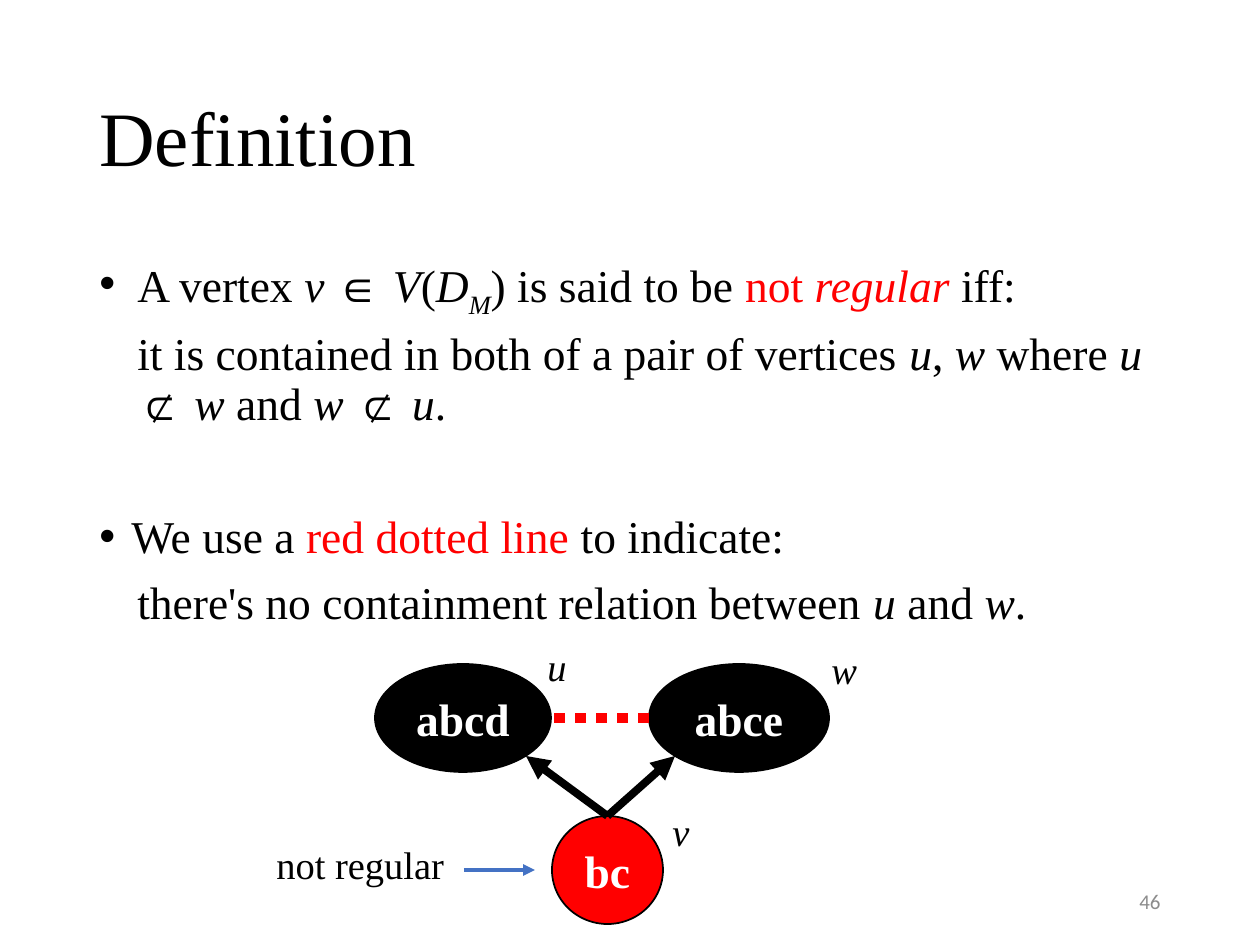
import pptx
import pptx.util
import pptx.dml.color
import pptx.enum.dml
import pptx.enum.shapes
import pptx.enum.text
import pptx.oxml
import pptx.oxml.ns

PX = 914400 / 126
SERIF = "Times New Roman"
COLORS = {"black": "000000", "white": "FFFFFF", "red": "FF0000",
          "blue": "4472C4", "gray": "8C8C8C"}
ALIGN = pptx.enum.text.PP_ALIGN
ANCHOR = pptx.enum.text.MSO_ANCHOR

# Run styles: i = italic, r = red, s = subscript
# Each paragraph: left margin, first-line indent, bullet, space before (pt), runs
BODY = [
    (38, -38, True, 0, [
        ("A vertex ", ""), ("v ", "i"), ("∈ ", ""), ("V", "i"), ("(", ""),
        ("D", "i"), ("M", "is"), (") is said to be ", ""), ("not", "r"),
        (" regular ", "ir"), ("iff:", "")]),
    (38, 0, False, 10, [
        ("it is contained in both of a pair of vertices ", ""), ("u", "i"),
        (", ", ""), ("w", "i"), (" where ", ""), ("u ", "i"), ("⊄ ", ""),
        ("w", "i"), (" and ", ""), ("w", "i"), (" ⊄ ", ""), ("u", "i"), (".", "")]),
    (32, -32, True, 48, [
        ("We use a ", ""), ("red dotted line", "r"), (" to indicate:", "")]),
    (0, 38, False, 10, [
        ("there's no containment relation between ", ""), ("u", "i"),
        (" and ", ""), ("w", "i"), (".", "")]),
]


def px(n):
    return pptx.util.Emu(round(n * PX))


def rgb(name):
    return pptx.dml.color.RGBColor.from_string(COLORS[name])


def child(parent, tag, **attrs):
    el = pptx.oxml.parse_xml(f"<{tag} {pptx.oxml.ns.nsdecls('a')}/>")
    for key, value in attrs.items():
        el.set(key, str(value))
    parent.append(el)


def style(r, size, color="black", font=SERIF, bold=False, italic=False):
    r.font.name = font
    r.font.size = pptx.util.Pt(size)
    r.font.bold = bold
    r.font.italic = italic
    r.font.color.rgb = rgb(color)


def add_text(s, box, text, size, wrap=False, anchor=ANCHOR.TOP,
             align=ALIGN.LEFT, **font):
    tf = s.shapes.add_textbox(*map(px, box)).text_frame
    tf.word_wrap = wrap
    tf.vertical_anchor = anchor
    tf.text = text
    p = tf.paragraphs[0]
    p.alignment = align
    style(p.runs[0], size, **font)
    return p


def add_body(s, box, paragraphs):
    tf = s.shapes.add_textbox(*map(px, box)).text_frame
    tf.word_wrap = True
    for n, (margin, indent, bullet, before, runs) in enumerate(paragraphs):
        p = tf.add_paragraph() if n else tf.paragraphs[0]
        pPr = p._p.get_or_add_pPr()
        pPr.set("marL", str(px(margin)))
        pPr.set("indent", str(px(indent)))
        if bullet:
            child(pPr, "a:buFont", typeface="Arial")
            child(pPr, "a:buChar", char="•")
        p.line_spacing = 0.9
        p.space_before = pptx.util.Pt(before)
        for text, flags in runs:
            r = p.add_run()
            r.text = text
            style(r, 26, "red" if "r" in flags else "black", italic="i" in flags)
            if "s" in flags:
                r._r.get_or_add_rPr().set("baseline", "-25000")


def add_vertex(s, box, text, fill):
    sp = s.shapes.add_shape(pptx.enum.shapes.MSO_SHAPE.OVAL, *map(px, box))
    sp.shadow.inherit = False
    sp.fill.solid()
    sp.fill.fore_color.rgb = rgb(fill)
    sp.line.color.rgb = rgb("black")
    sp.line.width = pptx.util.Pt(1)
    tf = sp.text_frame
    tf.word_wrap = False
    tf.vertical_anchor = ANCHOR.MIDDLE
    tf.text = text
    p = tf.paragraphs[0]
    p.alignment = ALIGN.CENTER
    style(p.runs[0], 26, "white", bold=True)
    return sp


def add_line(s, start, end, color, width, arrow=True, dash=None):
    line = s.shapes.add_connector(pptx.enum.shapes.MSO_CONNECTOR.STRAIGHT,
                                  *map(px, start + end))
    line.line.color.rgb = rgb(color)
    line.line.width = pptx.util.Pt(width)
    if dash:
        line.line.dash_style = dash
    if arrow:
        child(line.line._get_or_add_ln(), "a:tailEnd", type="triangle")
    child(line._element.spPr, "a:effectLst")
    return line


def main():
    prs = pptx.Presentation()
    prs.slide_width, prs.slide_height = px(1260), px(945)
    s = prs.slides.add_slide(prs.slide_layouts[6])

    # Title and definition
    title = add_text(s, (87, 50, 1086, 183), "Definition", 44, wrap=True,
                     anchor=ANCHOR.MIDDLE)
    title.line_spacing = 0.9
    add_body(s, (87, 252, 1086, 600), BODY)

    # Vertices
    add_vertex(s, (375, 664, 176, 108), "abcd", "black")
    add_vertex(s, (649, 664, 180, 108), "abce", "black")
    bc = add_vertex(s, (552, 816, 111, 108), "bc", "red")

    # Containment arrows and the dotted line
    for end in ((675, 756), (526, 756)):
        add_line(s, (607, 816), end, "black", 4.5).begin_connect(bc, 0)
    add_line(s, (649, 718), (551, 718), "red", 6, arrow=False,
             dash=pptx.enum.dml.MSO_LINE.ROUND_DOT)
    add_line(s, (464, 870), (535, 870), "blue", 2.25)

    # Labels
    add_text(s, (264, 835, 200, 59), "not regular", 22)
    for text, x, y, w in (("v", 660, 802, 43), ("u", 535, 637, 45),
                          ("w", 819, 640, 52)):
        add_text(s, (x, y, w, 59), text, 22, italic=True)

    # Slide number
    add_text(s, (890, 876, 283, 50), "46", 12, wrap=True, anchor=ANCHOR.MIDDLE,
             align=ALIGN.RIGHT, color="gray", font="Calibri")

    prs.save("out.pptx")


if __name__ == "__main__":
    main()
